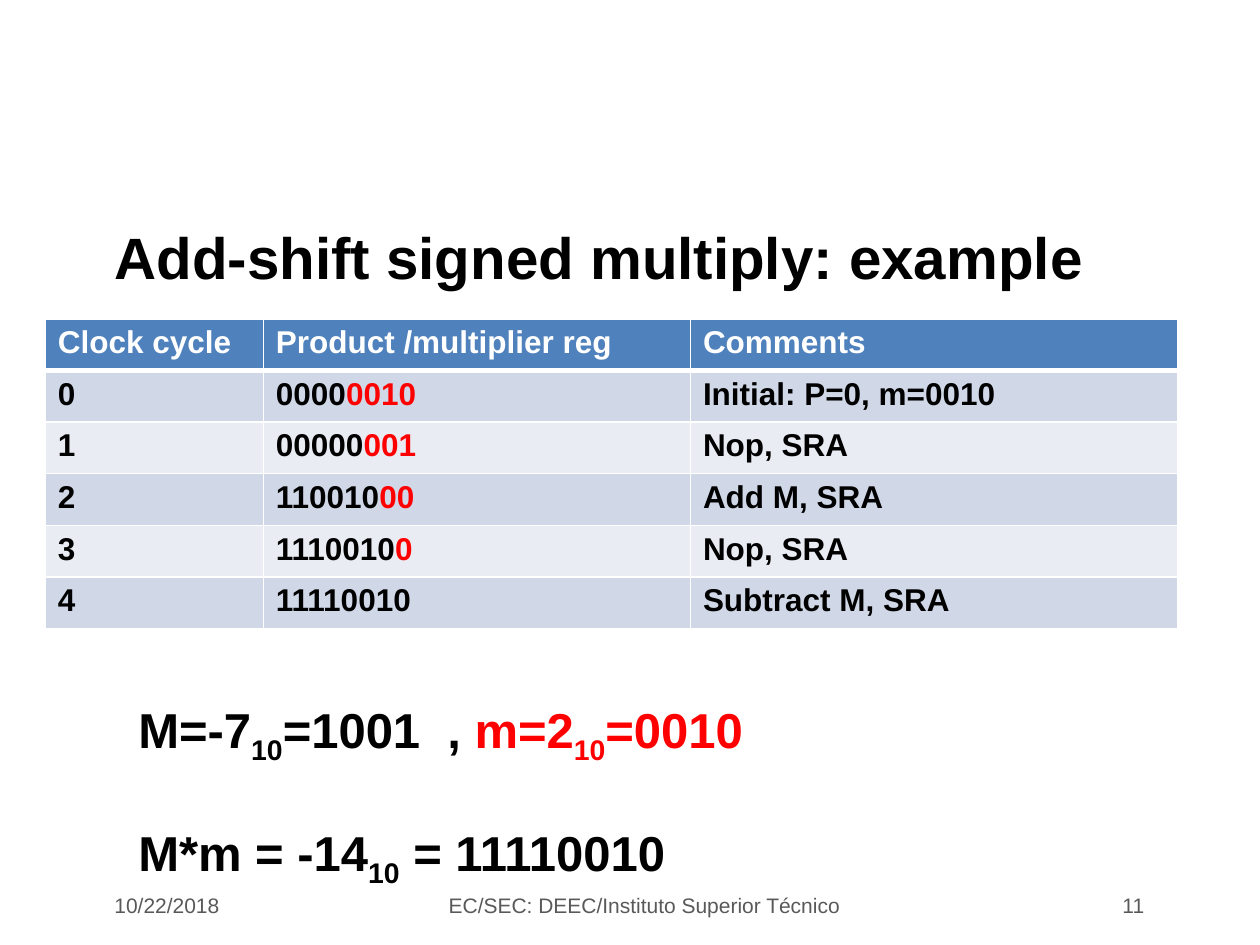
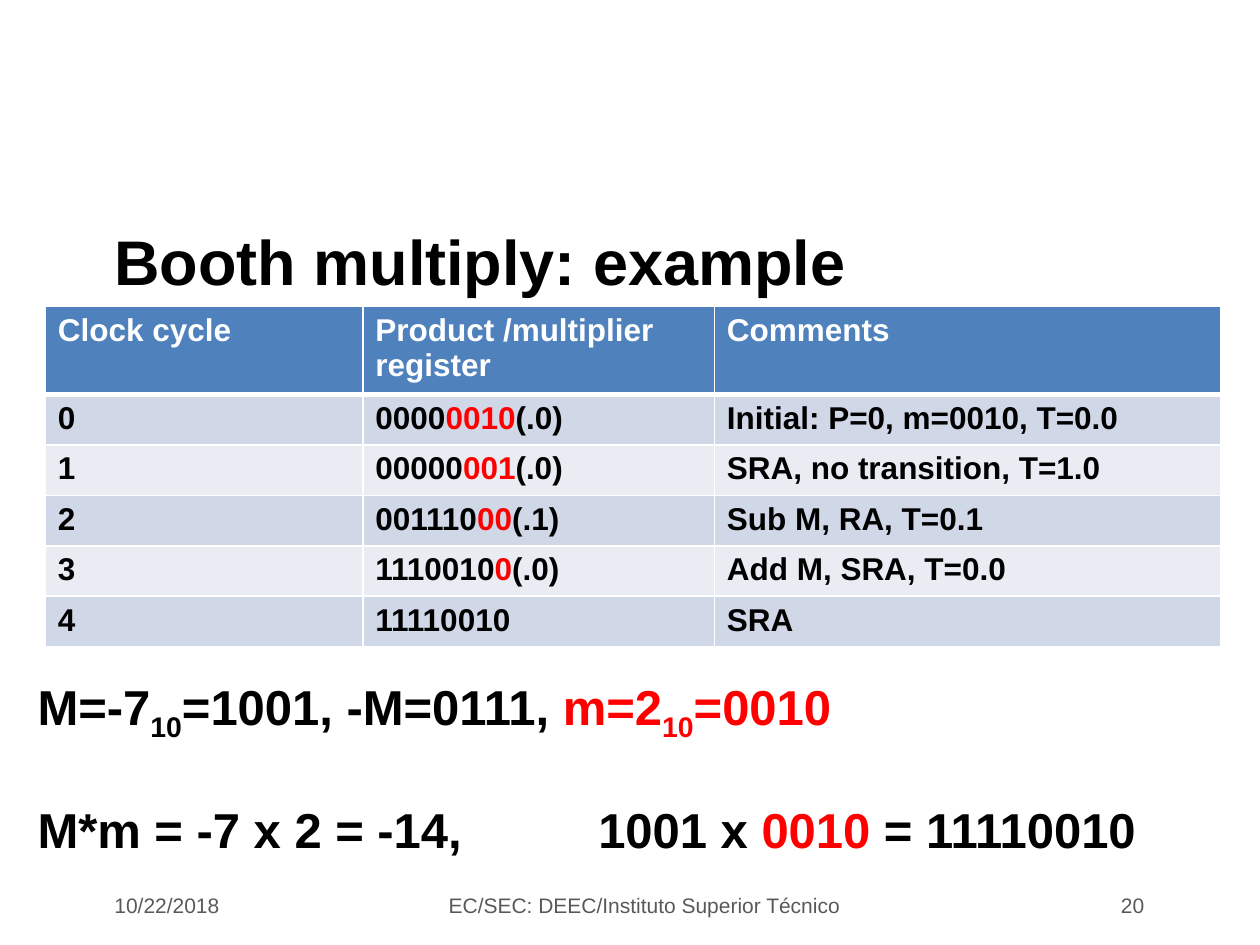
from itertools import groupby

from pptx import Presentation
from pptx.dml.color import RGBColor
from pptx.enum.text import MSO_ANCHOR as Anchor, PP_ALIGN as Align
from pptx.oxml.ns import qn
from pptx.util import Inches, Pt
from lxml.etree import SubElement

BLACK = RGBColor(0x00, 0x00, 0x00)
WHITE = RGBColor(0xFF, 0xFF, 0xFF)
RED = RGBColor(0xFF, 0x00, 0x00)
GREY = RGBColor(0x59, 0x59, 0x59)
HEADER_BLUE = RGBColor(0x4F, 0x81, 0xBD)
BANDS = RGBColor(0xE9, 0xEC, 0xF3), RGBColor(0xD0, 0xD8, 0xE7)
FONT = "Arial"

DATE = "10/22/2018"
COURSE = "EC/SEC: DEEC/Instituto Superior Técnico"
TITLE_BOX = (0.81, 1.59, 8.37, 0.95)
FOOTER_TOP, FOOTER_HEIGHT = 7.01, 0.34
TABLE_LEFT = 0.36

# Markup: [red], _subscript_
EXAMPLES = [
    dict(
        title="Add-shift signed multiply: example", title_size=33.3, title_spacing=0.9,
        number="11", table_top=2.53, columns=(1.73, 3.39, 3.87),
        header_height=0.41, row_height=0.41,
        steps=[
            ("Clock cycle", "Product /multiplier reg", "Comments"),
            ("0", "0000[0010]", "Initial: P=0, m=0010"),
            ("1", "00000[001]", "Nop, SRA"),
            ("2", "110010[00]", "Add M, SRA"),
            ("3", "1110010[0]", "Nop, SRA"),
            ("4", "11110010", "Subtract M, SRA"),
        ],
        operands_box=(1, 5.5, 7.6, 1.63),
        operands=["M=-7_10_=1001  , [m=2_10_=0010]", "M*m = -14_10_ = 11110010"],
    ),
    dict(
        title="Booth multiply: example", title_size=36, title_spacing=1.0,
        number="20", table_top=2.43, columns=(2.52, 2.79, 4.02),
        header_height=0.66, row_height=0.38,
        steps=[
            ("Clock cycle", "Product /multiplier register", "Comments"),
            ("0", "0000[0010](.0)", "Initial: P=0, m=0010, T=0.0"),
            ("1", "00000[001](.0)", "SRA, no transition, T=1.0"),
            ("2", "001110[00](.1)", "Sub M, RA, T=0.1"),
            ("3", "1110010[0](.0)", "Add M, SRA, T=0.0"),
            ("4", "11110010", "SRA"),
        ],
        operands_box=(0.2, 5.32, 9.1, 1.56),
        operands=["M=-7_10_=1001, -M=0111, [m=2_10_=0010]",
                  "M*m = -7 x 2 = -14,\t1001 x [0010] = 11110010"],
    ),
]
PRODUCT_TAB = 4.45


def styled_runs(marked):
    """Split marked text into (text, is_red, is_subscript) runs."""
    red = low = False
    letters = []
    for letter in marked:
        if letter in "[]":
            red = letter == "["
        elif letter == "_":
            low = not low
        else:
            letters.append((letter, red, low))
    for (red, low), group in groupby(letters, key=lambda item: item[1:]):
        yield "".join(item[0] for item in group), red, low


def write(paragraph, marked, size, color, bold=True):
    """Fill a paragraph with marked text."""
    if "\t" in marked:
        tabs = SubElement(paragraph._p.get_or_add_pPr(), qn("a:tabLst"))
        SubElement(tabs, qn("a:tab"), pos=str(Inches(PRODUCT_TAB)), algn="l")
    font = paragraph.font
    font.name, font.size, font.bold = FONT, Pt(size), bold
    font.color.rgb = color
    for text, red, low in styled_runs(marked):
        run = paragraph.add_run()
        run.text = text
        if red:
            run.font.color.rgb = RED
        if low:
            run._r.get_or_add_rPr().set("baseline", "-25000")


def add_text(slide, box, lines, size, color=BLACK, bold=True,
             align=Align.LEFT, anchor=Anchor.MIDDLE, spacing=1.0):
    """Add a text box whose lines are one blank line apart."""
    frame = slide.shapes.add_textbox(*map(Inches, box)).text_frame
    frame.word_wrap, frame.vertical_anchor = True, anchor
    for index, line in enumerate(lines):
        paragraph = frame.add_paragraph() if index else frame.paragraphs[0]
        paragraph.alignment, paragraph.line_spacing = align, spacing
        if index:
            paragraph.space_before = Pt(size * 1.15)
        write(paragraph, line, size, color, bold)


def add_borders(cell, row):
    """Rule a cell in white, heavier below the header."""
    heavy = {(0, "B"), (1, "T")}
    for side in "LRTB":
        width = Pt(3 if (row, side) in heavy else 0.96)
        line = SubElement(cell._tc.get_or_add_tcPr(), qn(f"a:ln{side}"), w=str(width))
        fill = SubElement(line, qn("a:solidFill"))
        SubElement(fill, qn("a:srgbClr"), val=str(WHITE))


def add_steps(slide, example):
    """Add the table of clock cycles."""
    steps, columns = example["steps"], example["columns"]
    heights = [example["header_height"]] + [example["row_height"]] * (len(steps) - 1)
    box = TABLE_LEFT, example["table_top"], sum(columns), sum(heights)
    table = slide.shapes.add_table(len(steps), len(columns), *map(Inches, box)).table
    for column, width in zip(table.columns, columns):
        column.width = Inches(width)
    for row, (step, height) in enumerate(zip(steps, heights)):
        table.rows[row].height = Inches(height)
        for col, text in enumerate(step):
            cell = table.cell(row, col)
            add_borders(cell, row)
            cell.fill.solid()
            cell.fill.fore_color.rgb = BANDS[row % 2] if row else HEADER_BLUE
            write(cell.text_frame.paragraphs[0], text, 18, BLACK if row else WHITE)


def add_footer(slide, number):
    """Add date, course and slide number."""
    for left, width, text, align in (
        (0.81, 2.02, DATE, Align.LEFT),
        (3.42, 3.39, COURSE, Align.CENTER),
        (7.18, 2.0, number, Align.RIGHT),
    ):
        add_text(slide, (left, FOOTER_TOP, width, FOOTER_HEIGHT), [text],
                 12, GREY, bold=False, align=align)


def main():
    """Build both multiplication examples."""
    deck = Presentation()
    deck.slide_width, deck.slide_height = Inches(10), Inches(7.5)
    for example in EXAMPLES:
        slide = deck.slides.add_slide(deck.slide_layouts[6])
        add_text(slide, TITLE_BOX, [example["title"]], example["title_size"],
                 spacing=example["title_spacing"])
        add_steps(slide, example)
        add_footer(slide, example["number"])
        add_text(slide, example["operands_box"], example["operands"], 28,
                 anchor=Anchor.TOP)
    deck.save("out.pptx")


if __name__ == "__main__":
    main()
